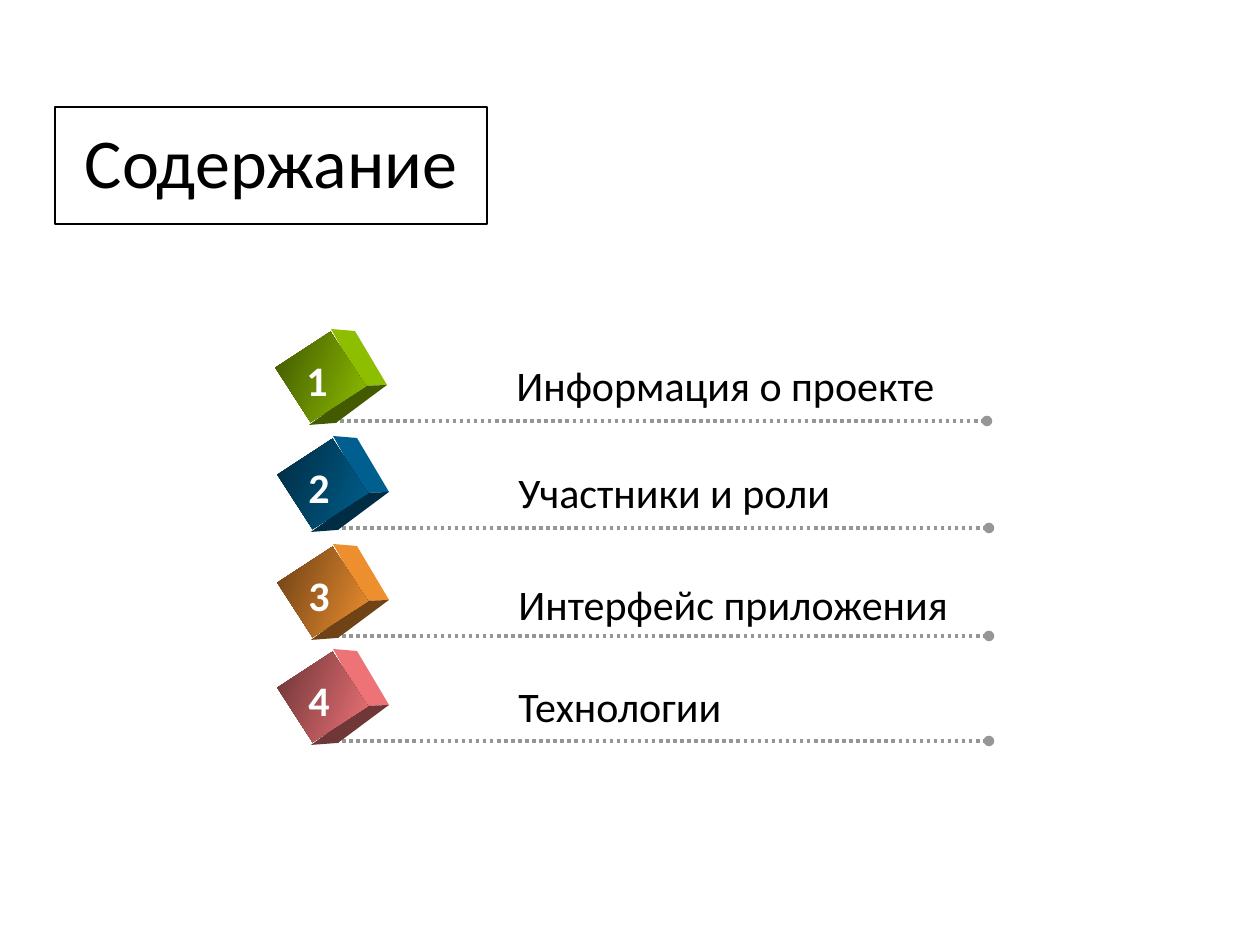
from pptx import Presentation
from pptx import util as u
from pptx.dml.color import RGBColor
from pptx.enum import dml, shapes, text
from pptx.oxml.ns import qn
from lxml import etree

PX = 914400 // 126
FONT = "Calibri"
TITLE = "Содержание"
# number, label, colour, left of cube, y of dotted line, top and width of label
ITEMS = [
    ("1", "Информация о проекте", "99CC00", 276, 421, 353, 450),
    ("2", "Участники и роли", "006699", 278, 528, 460, 342),
    ("3", "Интерфейс приложения", "FF9933", 278, 636, 572, 464),
    ("4", "Технологии", "FF7C80", 278, 741, 674, 234),
]
# Cube sides relative to the cube's left and the line: points, brightness
SIDES = [
    ([(55, -92), (79, -90), (111, -36), (87, -35)], 0.93),
    ([(33, 4), (87, -35), (111, -36), (60, 2)], 0.44),
]


def rgb(hex_code):
    return RGBColor.from_string(hex_code)


def shade(hex_code, level):
    return "".join(f"{round(int(hex_code[i:i + 2], 16) * level):02X}" for i in (0, 2, 4))


def px(*values):
    return [u.Emu(v * PX) for v in values]


def style(p, size, color, bold=False):
    p.font.name, p.font.size, p.font.bold = FONT, u.Pt(size), bold
    p.font.color.rgb = rgb(color)


def add_text(parent, content, box, color, bold=False):
    tf = parent.add_textbox(*px(*box)).text_frame
    tf.word_wrap = False
    tf.auto_size = text.MSO_AUTO_SIZE.SHAPE_TO_FIT_TEXT
    p = tf.paragraphs[0]
    p.text = content
    style(p, 24, color, bold)


def add_dotted_line(parent, x, y):
    line = parent.add_connector(shapes.MSO_CONNECTOR.STRAIGHT, *px(x, y, x + 661, y))
    line.line.color.rgb = rgb("969696")
    line.line.width = u.Pt(2)
    line.line.dash_style = dml.MSO_LINE.ROUND_DOT
    props = line._element.spPr
    etree.SubElement(props.find(qn("a:ln")), qn("a:tailEnd"), type="oval")
    etree.SubElement(props, qn("a:effectLst"))


def add_cube(parent, x, y, color):
    for points, level in SIDES:
        corners = [(x + dx, y + dy) for dx, dy in points]
        builder = parent.build_freeform(*corners[0], scale=PX)
        builder.add_line_segments(corners[1:], close=True)
        side = builder.convert_to_shape()
        side.shadow.inherit = False
        side.fill.solid()
        side.fill.fore_color.rgb = rgb(shade(color, level))
        side.line.fill.background()
    front = parent.add_shape(shapes.MSO_SHAPE.RECTANGLE, *px(x + 12, y - 77, 65, 66))
    front.rotation = 57
    front.shadow.inherit = False
    front.line.fill.background()
    front.fill.gradient()
    front.fill.gradient_angle = 35
    for stop, level in zip(front.fill.gradient_stops, (0.42, 0.93)):
        stop.color.rgb = rgb(shade(color, level))


prs = Presentation()
prs.slide_width, prs.slide_height = px(1260, 945)
s = prs.slides.add_slide(prs.slide_layouts[5])

# Title
title = s.shapes.title
title.left, title.top, title.width, title.height = px(55, 107, 432, 117)
title.fill.solid()
title.fill.fore_color.rgb = rgb("FFFFFF")
title.line.color.rgb = rgb("000000")
title.line.width = u.Pt(0.75)
tf = title.text_frame
tf.text = TITLE
tf.vertical_anchor = text.MSO_ANCHOR.MIDDLE
p = tf.paragraphs[0]
p.alignment = text.PP_ALIGN.CENTER
p.line_spacing = 0.9
style(p, 40, "000000")

# Contents rows
for number, label, color, x, y, label_top, label_width in ITEMS:
    row = s.shapes.add_group_shape().shapes
    add_dotted_line(row, x + 50, y)
    add_cube(row, x, y, color)
    add_text(row, label, (x + 228, label_top, label_width, 64), "000000")
    add_text(row, number, (x + 18, y - 73, 49, 63), "FFFFFF", True)

prs.save("out.pptx")
